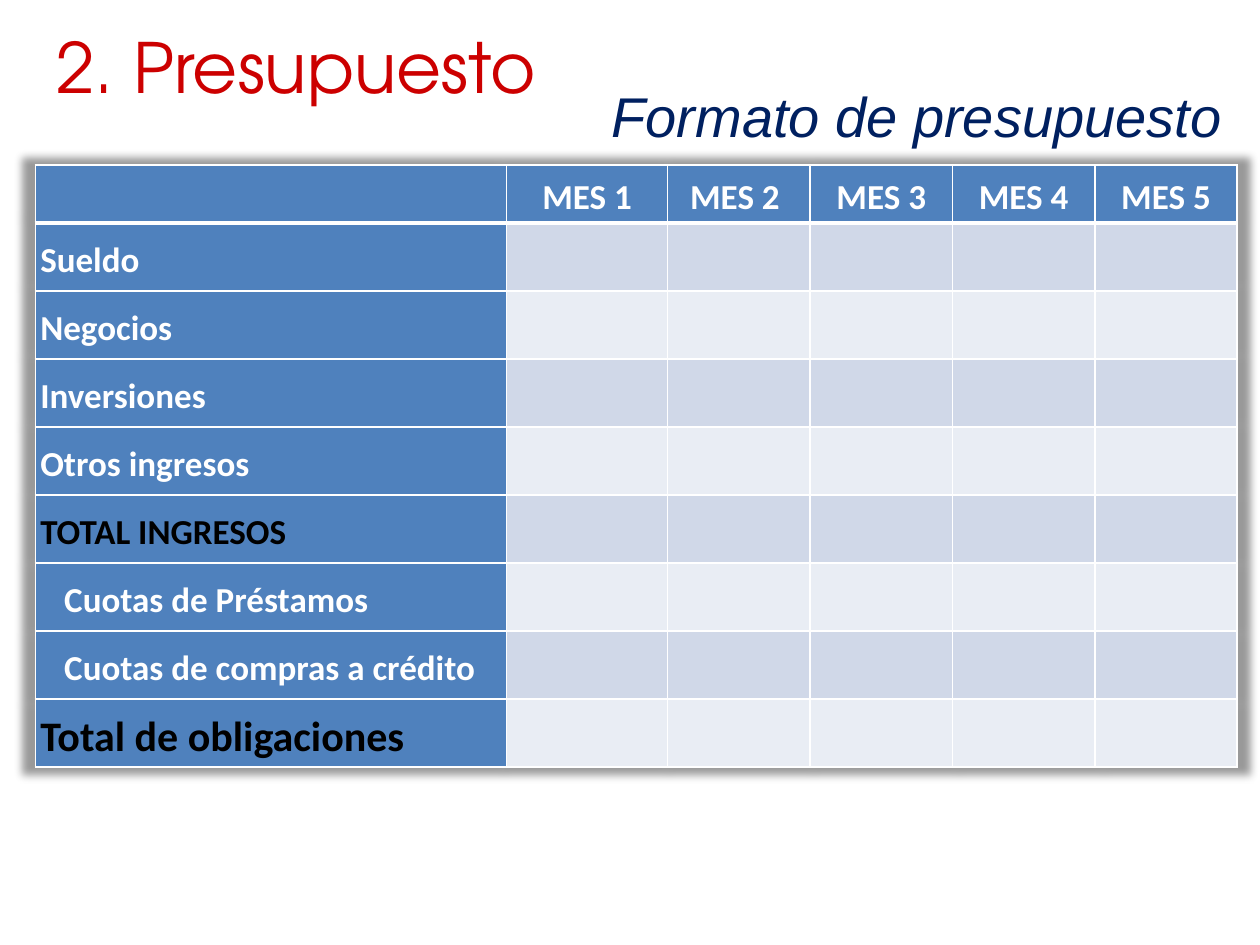
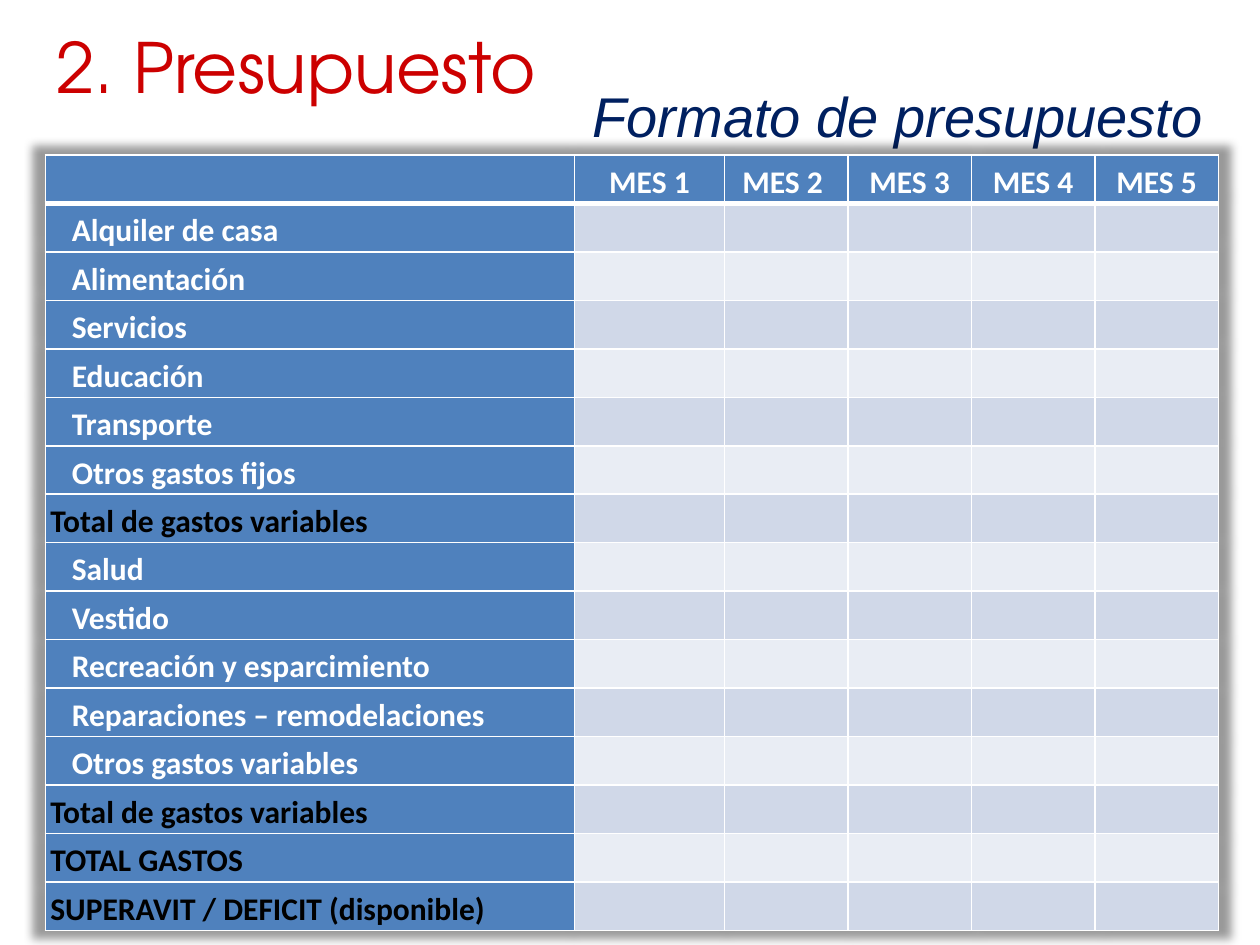
from dataclasses import dataclass

from pptx import Presentation
from pptx.dml.color import RGBColor
from pptx.enum.text import MSO_ANCHOR as Anchor, PP_ALIGN as Align
from pptx.oxml import parse_xml
from pptx.oxml.ns import nsdecls
from pptx.util import Inches, Pt


@dataclass(frozen=True)
class Theme:
    title_color: str = "CC0000"
    subtitle_color: str = "002060"
    label_fill: str = "4F81BD"
    band_fills: tuple = ("E9EDF4", "D0D8E8")
    border: str = "FFFFFF"
    item_color: str = "FFFFFF"
    total_color: str = "000000"
    title_font: str = "TeX Gyre Adventor"
    subtitle_font: str = "Arial"
    table_font: str = "Calibri"
    title_size: float = 39.6
    subtitle_size: float = 32
    income_size: float = 20
    income_total_size: float = 24
    expense_size: float = 18
    thin_line: float = 1
    header_line: float = 3


THEME = Theme()
MONTHS = ["MES 1", "MES 2 ", "MES 3", "MES 4", "MES 5"]


@dataclass(frozen=True)
class Row:
    label: str
    indented: bool = False
    total: bool = False
    size: float = 0  # zero means the size of the table


INCOME_ROWS = [
    *[Row(label) for label in ("Sueldo", "Negocios", "Inversiones", "Otros ingresos")],
    Row("TOTAL INGRESOS", total=True),
    Row("Cuotas de Préstamos", indented=True),
    Row("Cuotas de compras a crédito", indented=True),
    Row("Total de obligaciones", total=True, size=THEME.income_total_size),
]
FIXED_EXPENSES = ["Alquiler de casa", "Alimentación", "Servicios", "Educación",
                  "Transporte", "Otros gastos fijos"]
VARIABLE_EXPENSES = ["Salud", "Vestido", "Recreación y esparcimiento",
                     "Reparaciones – remodelaciones", "Otros gastos variables"]
EXPENSE_ROWS = [
    *[Row(label, indented=True) for label in FIXED_EXPENSES],
    Row("Total de gastos variables", total=True),
    *[Row(label, indented=True) for label in VARIABLE_EXPENSES],
    Row("Total de gastos variables", total=True),
    Row("TOTAL GASTOS", total=True),
    Row("SUPERAVIT / DEFICIT (disponible)", total=True),
]


def add_span(para, text, font, size, color, bold=False, italic=False):
    span = para.add_run()
    span.text = text
    span.font.name = font
    span.font.size = Pt(size)
    span.font.bold = bold
    span.font.italic = italic
    span.font.color.rgb = RGBColor.from_string(color)


def add_heading(page, left, top, height, align, text, font, size, color, italic=False):
    box = page.shapes.add_textbox(Inches(left), Inches(top), Inches(9), Inches(height))
    frame = box.text_frame
    frame.word_wrap = True
    frame.vertical_anchor = Anchor.MIDDLE
    para = frame.paragraphs[0]
    para.alignment = align
    add_span(para, text, font, size, color, italic=italic)


def add_headings(page, subtitle_left):
    add_heading(page, subtitle_left, 0.6, 0.63, Align.RIGHT, "Formato de presupuesto",
                THEME.subtitle_font, THEME.subtitle_size, THEME.subtitle_color, italic=True)
    add_heading(page, 0.35, 0.13, 0.79, Align.LEFT, "2. Presupuesto",
                THEME.title_font, THEME.title_size, THEME.title_color)


def style_cell(cell, fill, top_line, bottom_line):
    cell.margin_left = cell.margin_right = Inches(0.04)
    cell.margin_top = cell.margin_bottom = Inches(0.02)
    cell.vertical_anchor = Anchor.MIDDLE
    # Borders come before the fill in the cell properties
    properties = cell._tc.get_or_add_tcPr()
    widths = {"L": THEME.thin_line, "R": THEME.thin_line, "T": top_line, "B": bottom_line}
    for side, width in widths.items():
        properties.append(parse_xml(
            f'<a:ln{side} {nsdecls("a")} w="{Pt(width)}"><a:solidFill>'
            f'<a:srgbClr val="{THEME.border}"/></a:solidFill></a:ln{side}>'))
    cell.fill.solid()
    cell.fill.fore_color.rgb = RGBColor.from_string(fill)


def write_cell(cell, text, size, color, align=Align.LEFT, indent=0):
    para = cell.text_frame.paragraphs[0]
    para.alignment = align
    para.line_spacing = 1.15
    if indent:
        para._p.get_or_add_pPr().set("marL", str(Inches(indent)))
    add_span(para, text, THEME.table_font, size, color, bold=True)


def add_table_shadow(table):
    table._tbl.tblPr.insert(0, parse_xml(
        f'<a:effectLst {nsdecls("a")}><a:outerShdw blurRad="63500" sx="102000" sy="102000" '
        'algn="ctr" rotWithShape="0"><a:srgbClr val="000000"><a:alpha val="40000"/>'
        '</a:srgbClr></a:outerShdw></a:effectLst>'))


def add_budget_table(page, left, top, column_widths, header_height, row_height, rows, size):
    heights = [header_height] + [row_height] * len(rows)
    table = page.shapes.add_table(
        len(heights), len(column_widths), Inches(left), Inches(top),
        Inches(sum(column_widths)), Inches(sum(heights))).table
    table.horz_banding = False
    add_table_shadow(table)
    for column, width in zip(table.columns, column_widths):
        column.width = Inches(width)

    # Grid: blue header and label column, banded month cells
    for row_index, height in enumerate(heights):
        table.rows[row_index].height = Inches(height)
        top_line = THEME.header_line if row_index == 1 else THEME.thin_line
        bottom_line = THEME.header_line if row_index == 0 else THEME.thin_line
        for column_index in range(len(column_widths)):
            is_label = row_index == 0 or column_index == 0
            fill = THEME.label_fill if is_label else THEME.band_fills[row_index % 2]
            style_cell(table.cell(row_index, column_index), fill, top_line, bottom_line)

    # Texts
    for column_index, month in enumerate(MONTHS, start=1):
        write_cell(table.cell(0, column_index), month, size, THEME.item_color, Align.CENTER)
    for row_index, row in enumerate(rows, start=1):
        color = THEME.total_color if row.total else THEME.item_color
        indent = round(size * 0.0094, 2) if row.indented else 0
        write_cell(table.cell(row_index, 0), row.label, row.size or size, color, indent=indent)


def main():
    deck = Presentation()
    deck.slide_width, deck.slide_height = Inches(10), Inches(7.5)
    blank = deck.slide_layouts[6]

    # Income and obligations
    page = deck.slides.add_slide(blank)
    add_headings(page, 0.8)
    add_budget_table(page, 0.28, 1.31, [3.74, 1.28] + [1.13] * 4, 0.46, 0.54,
                     INCOME_ROWS, THEME.income_size)

    # Expenses and balance
    page = deck.slides.add_slide(blank)
    add_headings(page, 0.65)
    add_budget_table(page, 0.36, 1.23, [4.2, 1.19] + [0.98] * 4, 0.32, 0.38,
                     EXPENSE_ROWS, THEME.expense_size)

    deck.save("out.pptx")


if __name__ == "__main__":
    main()
